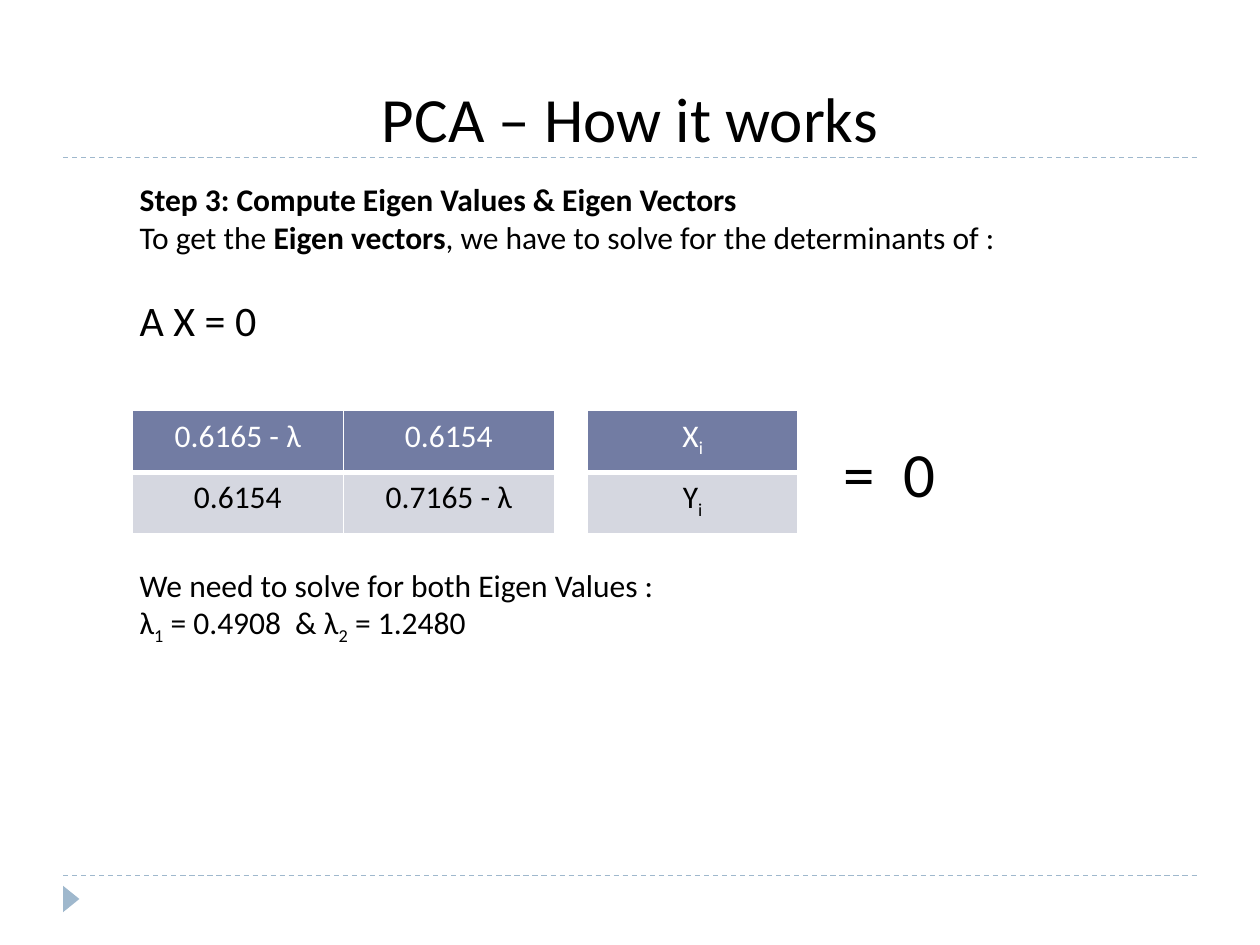
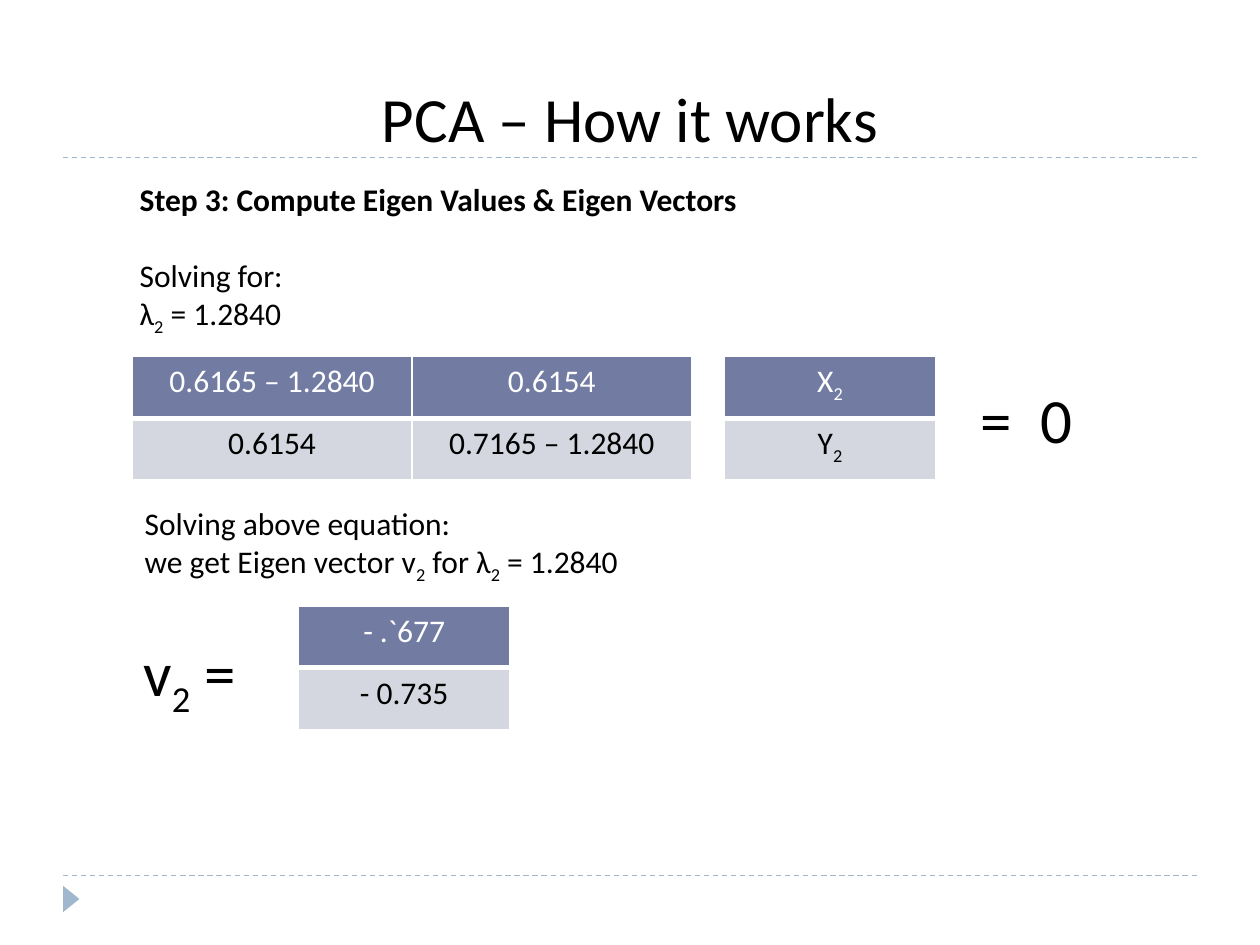
"""Two slides that work through step 3 of a principal component analysis."""
from dataclasses import dataclass

from lxml import etree
from pptx import Presentation
from pptx.dml.color import RGBColor
from pptx.enum.dml import MSO_LINE
from pptx.enum.shapes import MSO_CONNECTOR, MSO_SHAPE
from pptx.enum.text import PP_ALIGN
from pptx.oxml.ns import qn
from pptx.util import Inches, Pt

DASH = MSO_LINE.DASH
STRAIGHT = MSO_CONNECTOR.STRAIGHT
TRIANGLE = MSO_SHAPE.ISOSCELES_TRIANGLE
LEFT, CENTER, JUSTIFY = PP_ALIGN.LEFT, PP_ALIGN.CENTER, PP_ALIGN.JUSTIFY

COLORS = {"text": "000000", "white": "FFFFFF", "accent": "9FB8CD",
          "header": "727CA3", "body": "D5D7E0"}
FONT = "Calibri"
BODY_SIZE, FORMULA_SIZE, TITLE_SIZE = 18, 24, 36
BLANK_LINE = 22  # points taken by one line of body text

# The slide is a grid of 100 columns and 75 rows.
COLUMNS, ROWS = 100, 75
SLIDE_WIDTH, SLIDE_HEIGHT = Inches(10), Inches(7.5)
MARGIN = 5
TABLE_LEFT, VECTOR_WIDTH, TABLE_HEIGHT = 10.5, 16.75, 9.8
GAP = 2.6
RESULT_DROP, RESULT_WIDTH, LARGE_HEIGHT = 1.4, 10.3, 7.1


@dataclass
class Box:
    """An area in grid columns and rows."""
    left: float
    top: float
    width: float
    height: float

    def lengths(self):
        """Return left, top, width and height as slide lengths."""
        column, row = SLIDE_WIDTH / COLUMNS, SLIDE_HEIGHT / ROWS
        return (round(self.left * column), round(self.top * row),
                round(self.width * column), round(self.height * row))


@dataclass
class Line:
    """A paragraph: its pieces, its size and the gap above it."""
    pieces: tuple
    size: int = BODY_SIZE
    space_before: int = 0


def line(*pieces, **options):
    """Make a line of plain strings and bold or subscript pieces."""
    return Line(pieces, **options)


def bold(text):
    """Mark a piece of text as bold."""
    return text, "bold"


def sub(text):
    """Mark a piece of text as subscript."""
    return text, "sub"


def rgb(name):
    """Look up a colour by its name."""
    return RGBColor.from_string(COLORS[name])


def write_line(paragraph, content, align, color="text"):
    """Fill a paragraph with the formatted pieces of a line."""
    paragraph.alignment = align
    paragraph.space_before = Pt(content.space_before)
    for piece in content.pieces:
        text, style = (piece, "plain") if isinstance(piece, str) else piece
        run = paragraph.add_run()
        run.text = text
        run.font.name = FONT
        run.font.size = Pt(content.size)
        run.font.bold = style == "bold"
        run.font.color.rgb = rgb(color)
        if style == "sub":
            run.font._element.set("baseline", "-25000")


def add_text(slide, box, lines, align=LEFT, wrap=True):
    """Place a text box with one paragraph for each line."""
    text_frame = slide.shapes.add_textbox(*box.lengths()).text_frame
    text_frame.word_wrap = wrap
    for index, content in enumerate(lines):
        paragraph = (text_frame.add_paragraph() if index
                     else text_frame.paragraphs[0])
        write_line(paragraph, content, align)


def add_large_text(slide, box, *pieces, align=LEFT):
    """Place one unwrapped line in the title size."""
    add_text(slide, box, [line(*pieces, size=TITLE_SIZE)], align, wrap=False)


def set_borders(cell, widths):
    """Give a cell white borders, with a width in points for each side."""
    properties = cell._tc.get_or_add_tcPr()
    for side, width in widths.items():
        border = etree.SubElement(properties, qn(f"a:ln{side}"),
                                  w=str(Pt(width)))
        fill = etree.SubElement(border, qn("a:solidFill"))
        etree.SubElement(fill, qn("a:srgbClr"), val=COLORS["white"])


def add_matrix(slide, box, rows):
    """Place a table with a dark first row and a light second row."""
    table = slide.shapes.add_table(len(rows), len(rows[0]),
                                   *box.lengths()).table
    table.horz_banding = False
    for row_index, row in enumerate(rows):
        is_header = row_index == 0
        for column_index, content in enumerate(row):
            cell = table.cell(row_index, column_index)
            set_borders(cell, {"L": 1, "R": 1, "T": 1 if is_header else 3,
                               "B": 3 if is_header else 1})
            cell.fill.solid()
            cell.fill.fore_color.rgb = rgb("header" if is_header else "body")
            write_line(cell.text_frame.paragraphs[0], content, CENTER,
                       "white" if is_header else "text")


def add_equation(slide, box, matrix, index):
    """Place matrix, vector and '= 0' in a row; the box holds the matrix."""
    add_matrix(slide, box, matrix)
    vector = Box(box.left + box.width + GAP, box.top, VECTOR_WIDTH, box.height)
    add_matrix(slide, vector, [[line(name, sub(index))] for name in "XY"])
    result = Box(vector.left + vector.width + GAP, box.top + RESULT_DROP,
                 RESULT_WIDTH, LARGE_HEIGHT)
    add_large_text(slide, result, "=  0")


def add_rule(slide, row):
    """Draw a dashed rule across the slide between the margins."""
    left, top, width, _ = Box(MARGIN, row, COLUMNS - 2 * MARGIN, 0).lengths()
    rule = slide.shapes.add_connector(STRAIGHT, left, top, left + width, top)
    rule.line.color.rgb = rgb("accent")
    rule.line.width = Pt(0.75)
    rule.line.dash_style = DASH
    etree.SubElement(rule._element.spPr, qn("a:effectLst"))


def add_frame(slide):
    """Draw the rules, the corner marker and the title."""
    for row in (69.5, 12.5):
        add_rule(slide, row)
    marker = slide.shapes.add_shape(TRIANGLE,
                                    *Box(4.6, 70.7, 2.1, 1.3).lengths())
    marker.rotation = 90
    marker.shadow.inherit = False
    marker.fill.solid()
    marker.fill.fore_color.rgb = rgb("accent")
    marker.line.fill.background()
    add_large_text(slide, Box(29.1, 5.8, 41.8, LARGE_HEIGHT),
                   "PCA – How it works", align=CENTER)


def add_step(slide, height, lines):
    """Place the step heading with its explanation below the title."""
    heading = line(bold("Step 3: Compute Eigen Values & Eigen Vectors"))
    add_text(slide, Box(10.1, 13.8, 83.8, height), [heading, *lines], JUSTIFY)


def build_eigenvalues(slide):
    """Show the equation that gives both eigenvalues."""
    add_frame(slide)
    add_step(slide, 14.1, [
        line("To get the ", bold("Eigen vectors"),
             ", we have to solve for the determinants of :"),
        line("A X = 0", size=FORMULA_SIZE, space_before=BLANK_LINE)])
    add_equation(slide, Box(TABLE_LEFT, 32.6, 2 * VECTOR_WIDTH, TABLE_HEIGHT),
                 [[line("0.6165 - λ"), line("0.6154")],
                  [line("0.6154"), line("0.7165 - λ")]], "i")
    add_text(slide, Box(10.1, 44.4, 65.8, 7.1), [
        line("We need to solve for both Eigen Values :"),
        line("λ", sub("1"), " = 0.4908  & λ", sub("2"), " = 1.2480")])


def build_eigenvector(slide):
    """Show the eigenvector that belongs to the second eigenvalue."""
    add_frame(slide)
    add_step(slide, 13.1, [
        line("Solving for:", space_before=BLANK_LINE),
        line("λ", sub("2"), " = 1.2840")])
    add_equation(slide, Box(TABLE_LEFT, 28.3, 44.4, TABLE_HEIGHT),
                 [[line("0.6165 – 1.2840"), line("0.6154")],
                  [line("0.6154"), line("0.7165 – 1.2840")]], "2")
    add_text(slide, Box(TABLE_LEFT, 39.5, 65.8, 10.1), [
        line("Solving above equation:"),
        line("we get Eigen vector v", sub("2"), " for λ", sub("2"),
             " = 1.2840")])
    add_large_text(slide, Box(10.4, 49.8, 11.7, LARGE_HEIGHT),
                   "v", sub("2"), " = ")
    add_matrix(slide, Box(23.7, 48.1, VECTOR_WIDTH, TABLE_HEIGHT),
               [[line("- .`677")], [line("- 0.735")]])


def main():
    """Build both slides and save the presentation."""
    presentation = Presentation()
    presentation.slide_width = SLIDE_WIDTH
    presentation.slide_height = SLIDE_HEIGHT
    blank_layout = presentation.slide_layouts[6]
    for build in (build_eigenvalues, build_eigenvector):
        build(presentation.slides.add_slide(blank_layout))
    presentation.save("out.pptx")


main()
